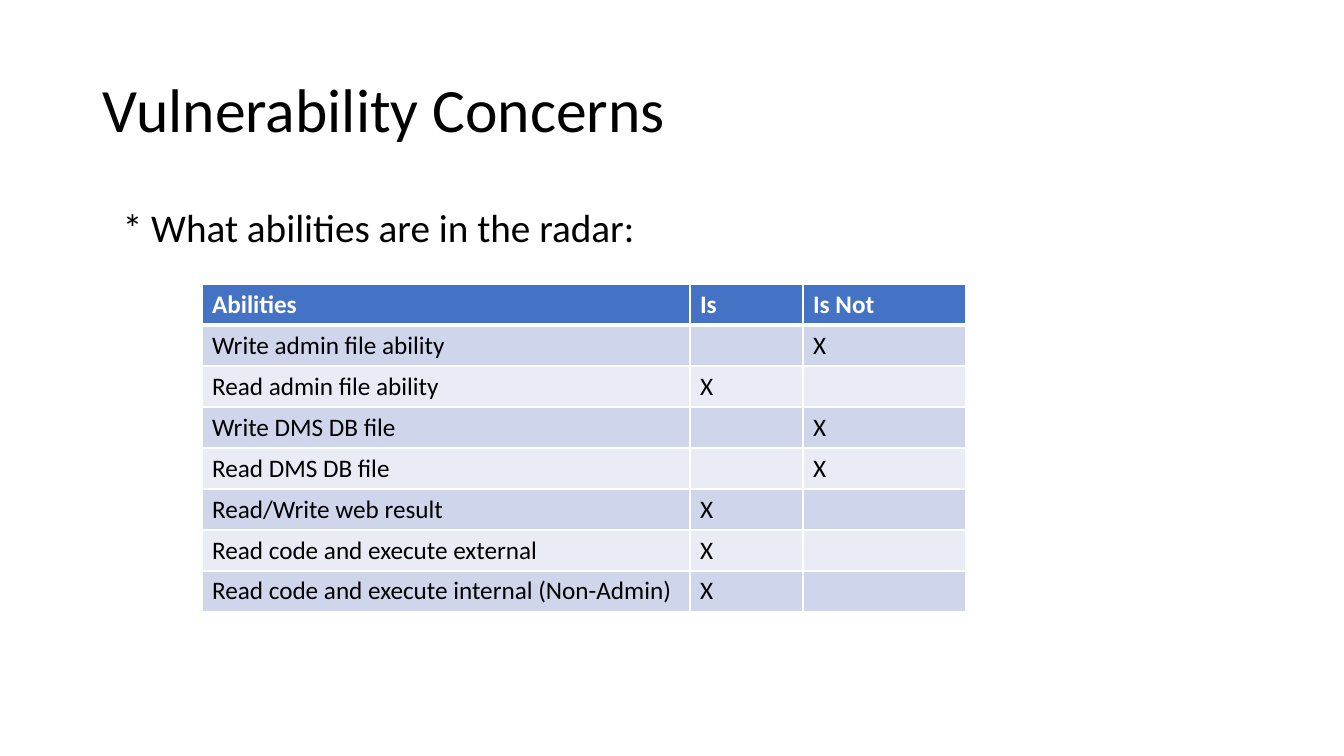
"""Build the Vulnerability Concerns slide with its table of abilities."""
from lxml.etree import SubElement
from pptx import Presentation
from pptx.dml.color import RGBColor as Color
from pptx.enum.text import MSO_ANCHOR as Anchor, MSO_AUTO_SIZE as AutoSize
from pptx.oxml.ns import qn
from pptx.util import Pt

PX = 914400 / 100.8
COLORS = {"text": "000000", "white": "FFFFFF", "header": "4472C4",
          "odd": "CFD5EA", "even": "E9EBF5"}
COLUMN_WIDTHS = [488, 113, 163]
ROW_HEIGHT = 41
ABILITIES = [
    ("Abilities", "Is", "Is Not"),
    ("Write admin file ability", "", "X"),
    ("Read admin file ability", "X", ""),
    ("Write DMS DB file", "", "X"),
    ("Read DMS DB file", "", "X"),
    ("Read/Write web result", "X", ""),
    ("Read code and execute external", "X", ""),
    ("Read code and execute internal (Non-Admin)", "X", ""),
]


def px(*lengths):
    return [round(length * PX) for length in lengths]


def write(frame, text, size, color="text", bold=False):
    para = frame.paragraphs[0]
    para.text = text
    for span in para.runs:
        span.font.name = "Calibri"
        span.font.size = Pt(size)
        span.font.bold = bold
        span.font.color.rgb = Color.from_string(COLORS[color])
    return para


deck = Presentation()
deck.slide_width, deck.slide_height = px(1344, 756)
page = deck.slides.add_slide(deck.slide_layouts[6])

title = page.shapes.add_textbox(*px(93, 40, 1159, 146)).text_frame
title.word_wrap = True
title.vertical_anchor = Anchor.MIDDLE
write(title, "Vulnerability Concerns", 44).line_spacing = 0.9

table = page.shapes.add_table(
    len(ABILITIES), len(COLUMN_WIDTHS),
    *px(202, 284, sum(COLUMN_WIDTHS), ROW_HEIGHT * len(ABILITIES))).table
for column, width in zip(table.columns, px(*COLUMN_WIDTHS)):
    column.width = width

for row, values in enumerate(ABILITIES):
    table.rows[row].height = px(ROW_HEIGHT)[0]
    header = row == 0
    shade = "header" if header else "odd" if row % 2 else "even"
    for index, value in enumerate(values):
        cell = table.cell(row, index)
        write(cell.text_frame, value, 18, "white" if header else "text", header)
        properties = cell._tc.get_or_add_tcPr()
        for side in "LRTB":
            thick = (row, side) in ((0, "B"), (1, "T"))
            border = SubElement(properties, qn(f"a:ln{side}"), w=str(Pt(3 if thick else 1)))
            fill = SubElement(border, qn("a:solidFill"))
            SubElement(fill, qn("a:srgbClr"), val=COLORS["white"])
        cell.fill.solid()
        cell.fill.fore_color.rgb = Color.from_string(COLORS[shade])

question = page.shapes.add_textbox(*px(113, 198, 551, 57)).text_frame
question.word_wrap = False
question.auto_size = AutoSize.SHAPE_TO_FIT_TEXT
write(question, "* What abilities are in the radar:", 28)

deck.save("out.pptx")
